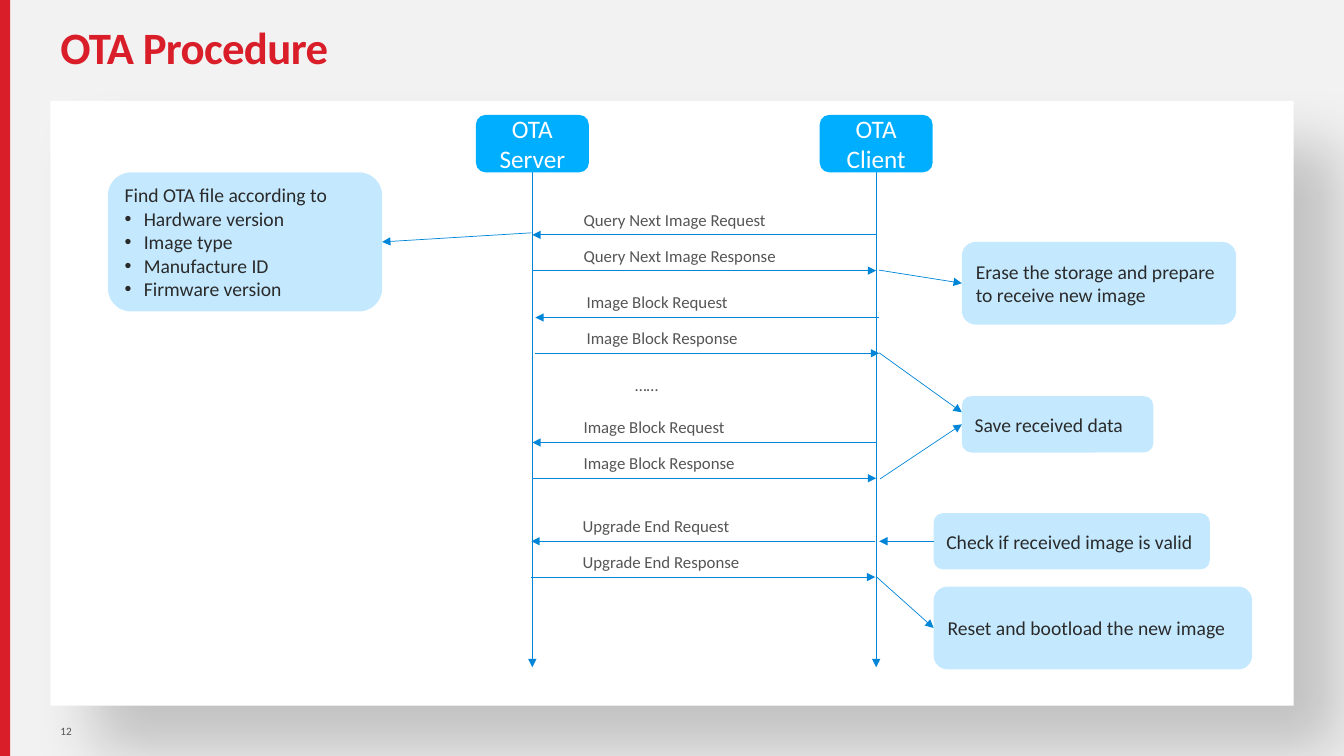
from dataclasses import dataclass

from lxml.etree import SubElement
from pptx import Presentation
from pptx.dml.color import RGBColor
from pptx.enum.shapes import MSO_CONNECTOR as Connector, MSO_SHAPE as Shape
from pptx.enum.text import MSO_ANCHOR as Anchor, PP_ALIGN as Align
from pptx.oxml.ns import qn
from pptx.util import Inches, Pt


@dataclass(frozen=True)
class Theme:
    """Colours, font and type sizes of the slide."""
    font: str = "Calibri"
    background: str = "F2F2F2"
    panel: str = "FFFFFF"
    shadow: str = "000000"
    accent: str = "D91E2A"
    actor: str = "00AEFF"
    actor_text: str = "FFFFFF"
    note: str = "C4E9FF"
    note_text: str = "2A2A2A"
    line: str = "0086D9"
    label: str = "555555"
    title_size: int = 32
    actor_size: int = 18
    note_size: int = 14
    label_size: int = 12
    number_size: int = 8


THEME = Theme()

TITLE = "OTA Procedure"
PAGE_NUMBER = "12"
SERVER_X, CLIENT_X = 5.28, 8.69
ACTORS = [("OTA Server", SERVER_X), ("OTA Client", CLIENT_X)]
# Exchange name, height of the request, sideways shift
EXCHANGES = [
    ("Query Next Image", 2.33, 0),
    ("Image Block", 3.15, 0.03),
    ("Image Block", 4.39, 0),
    ("Upgrade End", 5.37, -0.01),
]
ELLIPSIS = ("……", 6.2, 3.66)
# Left, top, width, height, opening line, bullet points
NOTES = [
    (1.07, 1.71, 2.72, 1.38, "Find OTA file according to",
     ["Hardware version", "Image type", "Manufacture ID", "Firmware version"]),
    (9.54, 2.4, 2.72, 0.82, "Erase the storage and prepare to receive new image", []),
    (9.54, 3.93, 1.9, 0.56, "Save received data", []),
    (9.26, 5.09, 2.74, 0.56, "Check if received image is valid", []),
    (9.26, 5.82, 3.16, 0.82, "Reset and bootload the new image", []),
]
NOTE_ARROWS = [
    ((5.27, 2.31), (3.79, 2.4)),
    ((8.72, 2.68), (9.54, 2.81)),
    ((8.72, 3.5), (9.54, 4.09)),
    ((8.73, 4.75), (9.54, 4.21)),
    ((9.26, 5.37), (8.72, 5.37)),
    ((8.69, 5.72), (9.26, 6.23)),
]

ACTOR_TOP, ACTOR_WIDTH, ACTOR_HEIGHT = 1.14, 1.12, 0.57
LIFELINE_END = 6.62
RESPONSE_GAP = 0.355
LABEL_INDENT, LABEL_HEIGHT = 0.41, 0.305
REQUEST_WIDTH, RESPONSE_WIDTH = 2.44, 2.77
BULLET_INDENT = 0.19

deck = Presentation()
deck.slide_width, deck.slide_height = Inches(13.33), Inches(7.5)
slide = deck.slides.add_slide(deck.slide_layouts[6])
slide.background.fill.solid()
slide.background.fill.fore_color.rgb = RGBColor.from_string(THEME.background)


def inches(*lengths):
    """Convert several lengths to slide units."""
    return [Inches(length) for length in lengths]


def add_run(paragraph, words, size, color):
    """Add one styled run and return it."""
    run = paragraph.add_run()
    run.text = words
    run.font.name = THEME.font
    run.font.size = Pt(size)
    run.font.color.rgb = RGBColor.from_string(color)
    return run


def add_block(kind, box, color):
    """Add a plain filled shape without outline or shadow."""
    block = slide.shapes.add_shape(kind, *inches(*box))
    block.shadow.inherit = False
    block.fill.solid()
    block.fill.fore_color.rgb = RGBColor.from_string(color)
    block.line.fill.background()
    block.text_frame.word_wrap = True
    block.text_frame.vertical_anchor = Anchor.MIDDLE
    return block


def add_label(words, box, size, color):
    """Add a text box and return its frame and run."""
    frame = slide.shapes.add_textbox(*inches(*box)).text_frame
    frame.word_wrap = True
    frame.vertical_anchor = Anchor.MIDDLE
    return frame, add_run(frame.paragraphs[0], words, size, color)


def add_arrow(start, end):
    """Draw a thin arrow between two points."""
    arrow = slide.shapes.add_connector(Connector.STRAIGHT, *inches(*start, *end))
    arrow.line.color.rgb = RGBColor.from_string(THEME.line)
    arrow.line.width = Pt(0.5)
    SubElement(arrow.line._get_or_add_ln(), qn("a:tailEnd"), type="triangle")
    SubElement(arrow._element.spPr, qn("a:effectLst"))


def cast_shadow(block, opacity, blur, distance, angle):
    """Give a shape a soft outer shadow."""
    effects = block._element.spPr.find(qn("a:effectLst"))
    outer = SubElement(effects, qn("a:outerShdw"), blurRad=str(Pt(blur)),
                       dist=str(Pt(distance)), dir=str(angle * 60000),
                       algn="tl", rotWithShape="0")
    tint = SubElement(outer, qn("a:srgbClr"), val=THEME.shadow)
    SubElement(tint, qn("a:alpha"), val=str(opacity * 1000))


def make_bullet(paragraph):
    """Turn a paragraph into a bullet point."""
    properties = paragraph._p.get_or_add_pPr()
    properties.set("marL", str(Inches(BULLET_INDENT)))
    properties.set("indent", str(-Inches(BULLET_INDENT)))
    SubElement(properties, qn("a:buFont"), typeface="Arial")
    SubElement(properties, qn("a:buChar"), char="•")


def add_frame():
    """Draw the side bar, white panel, title and page number."""
    add_block(Shape.RECTANGLE, (0, 0, 0.1, 7.5), THEME.accent)
    panel = add_block(Shape.RECTANGLE, (0.5, 1, 12.33, 6), THEME.panel)
    cast_shadow(panel, opacity=20, blur=45, distance=45, angle=45)
    frame, heading = add_label(TITLE, (0.5, 0, 12.33, 1), THEME.title_size, THEME.accent)
    frame.paragraphs[0].line_spacing = 0.9
    heading.font.bold = True
    heading._r.get_or_add_rPr().set("spc", "-50")
    frame, _ = add_label(PAGE_NUMBER, (0.5, 7, 0.35, 0.5), THEME.number_size, THEME.label)
    frame.margin_right = 0


def add_actor(name, x):
    """Draw an actor with its lifeline."""
    add_arrow((x, ACTOR_TOP + ACTOR_HEIGHT), (x, LIFELINE_END))
    box = (x - ACTOR_WIDTH / 2, ACTOR_TOP, ACTOR_WIDTH, ACTOR_HEIGHT)
    actor = add_block(Shape.ROUNDED_RECTANGLE, box, THEME.actor)
    paragraph = actor.text_frame.paragraphs[0]
    paragraph.alignment = Align.CENTER
    add_run(paragraph, name, THEME.actor_size, THEME.actor_text)


def add_exchange(name, y, shift):
    """Draw a request to the server and the response below it."""
    server, client = SERVER_X + shift, CLIENT_X + shift
    reply_y = y + RESPONSE_GAP
    for kind, start, end, width in [
        ("Request", (client, y), (server, y), REQUEST_WIDTH),
        ("Response", (server, reply_y), (client, reply_y), RESPONSE_WIDTH),
    ]:
        add_arrow(start, end)
        box = (server + LABEL_INDENT, start[1] - LABEL_HEIGHT, width, LABEL_HEIGHT)
        add_label(f"{name} {kind}", box, THEME.label_size, THEME.label)


def add_note(left, top, width, height, opening, points):
    """Draw a rounded note with optional bullet points."""
    note = add_block(Shape.ROUNDED_RECTANGLE, (left, top, width, height), THEME.note)
    frame = note.text_frame
    paragraphs = [frame.paragraphs[0]] + [frame.add_paragraph() for _ in points]
    for paragraph, words in zip(paragraphs, [opening, *points]):
        paragraph.alignment = Align.LEFT
        add_run(paragraph, words, THEME.note_size, THEME.note_text)
    for paragraph in paragraphs[1:]:
        make_bullet(paragraph)


add_frame()
for actor_details in ACTORS:
    add_actor(*actor_details)
for exchange in EXCHANGES:
    add_exchange(*exchange)
dots, dots_left, dots_top = ELLIPSIS
add_label(dots, (dots_left, dots_top, 0.87, LABEL_HEIGHT), THEME.label_size, THEME.label)
for note_details in NOTES:
    add_note(*note_details)
for ends in NOTE_ARROWS:
    add_arrow(*ends)

deck.save("out.pptx")
